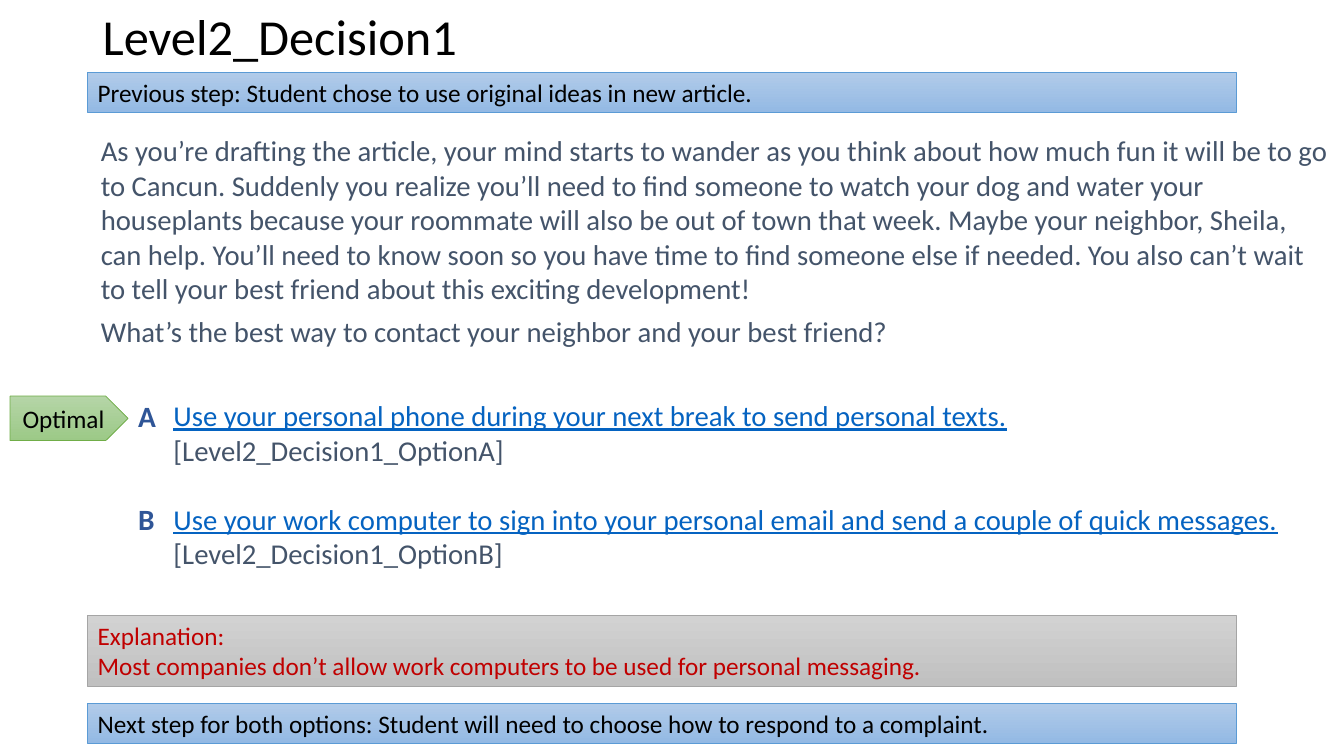
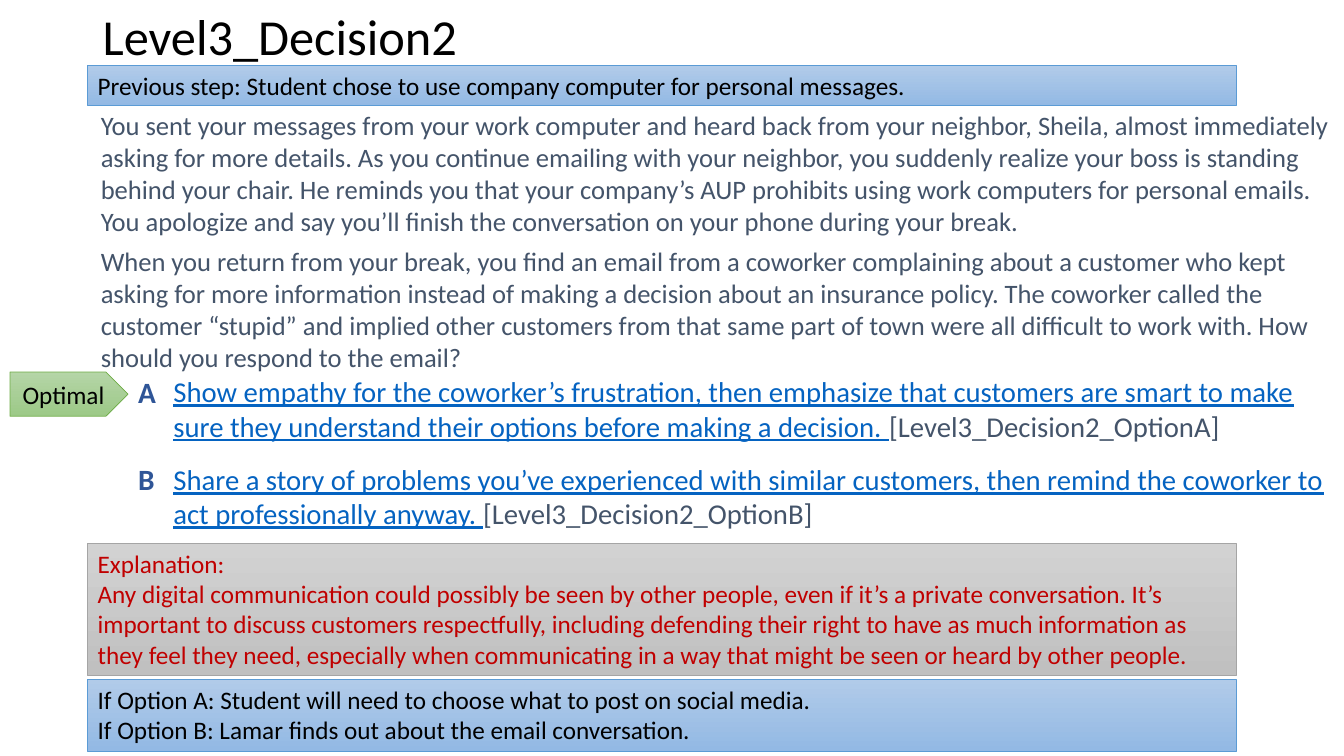
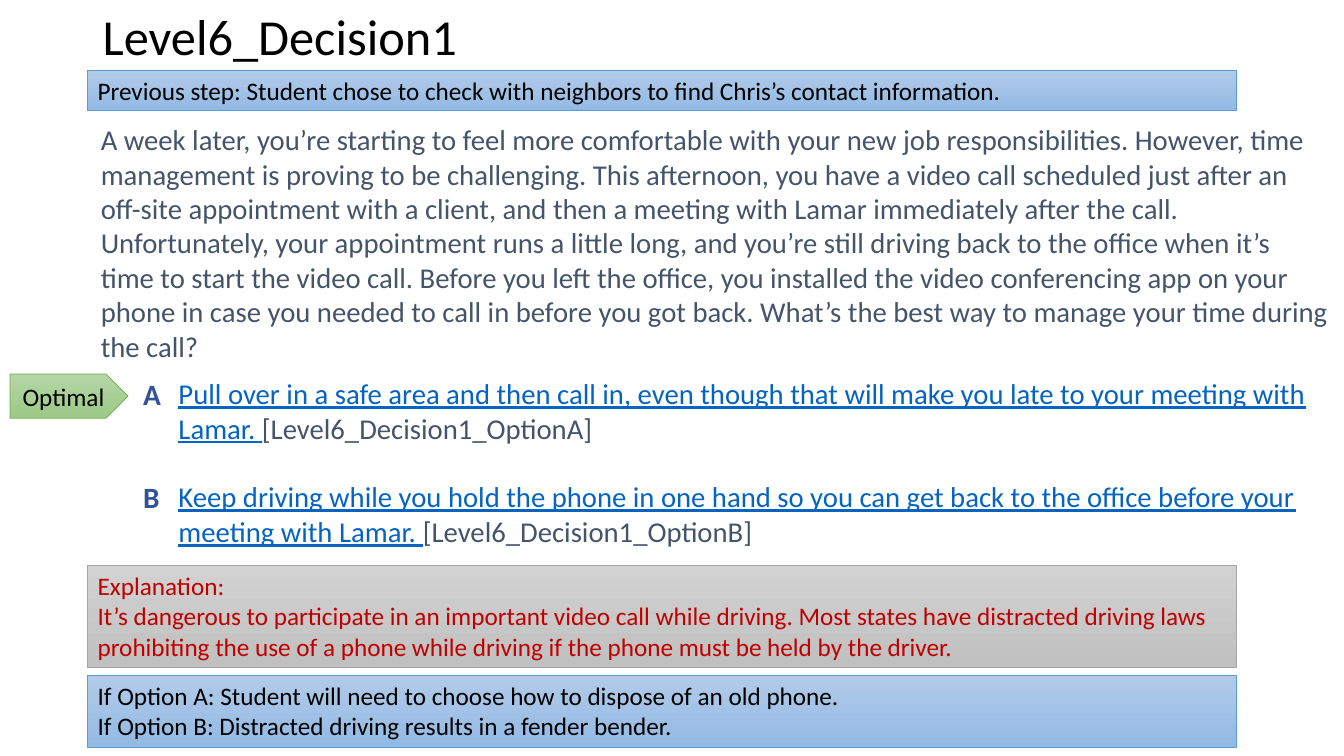
"""Builds three branching-scenario decision slides."""
from dataclasses import dataclass

from pptx import Presentation
from pptx.dml.color import RGBColor
from pptx.enum.shapes import MSO_SHAPE
from pptx.enum.text import MSO_ANCHOR, PP_ALIGN
from pptx.util import Inches, Pt

RECTANGLE, PENTAGON = MSO_SHAPE.RECTANGLE, MSO_SHAPE.PENTAGON
TOP, MIDDLE = MSO_ANCHOR.TOP, MSO_ANCHOR.MIDDLE
LEFT, CENTER = PP_ALIGN.LEFT, PP_ALIGN.CENTER

PAGE_WIDTH, PAGE_HEIGHT = 13.33, 7.5
MARGIN, BAND_WIDTH = 0.87, 11.39
BAND_HEIGHTS = {1: 0.4, 2: 0.71}
OPTION_HEIGHT = 0.68
WIDE_INSETS, SHAPE_INSETS = (0.13, 0.07), (0.1, 0.05)


@dataclass(frozen=True)
class Theme:
    """Colours, gradients and type sizes shared by all slides."""
    font: str = "Calibri"
    black: str = "000000"
    body: str = "44546A"
    link: str = "0563C1"
    letter: str = "2F5597"
    warning: str = "C00000"
    blue: tuple = ("B1CBE9", "93B9E4", "5B9BD5")
    gray: tuple = ("D2D2D2", "C0C0C0", "A5A5A5")
    green: tuple = ("B5D5A7", "9CC987", "70AD47")
    title_size: float = 36
    letter_size: float = 21
    option_size: float = 20.5
    band_size: float = 18


THEME = Theme()


@dataclass(frozen=True)
class Decision:
    """Wording and vertical layout of one decision slide."""
    title: str
    previous: str
    previous_top: float
    story: tuple
    story_box: tuple
    story_size: float
    options: tuple
    options_box: tuple
    option_gap: float
    explanation: str
    explanation_box: tuple
    following: tuple
    following_top: float


DECISIONS = (
    Decision(
        title="Level2_Decision1",
        previous="Student chose to use original ideas in new article.",
        previous_top=0.72,
        story=(
            "As you’re drafting the article, your mind starts to wander as you think about how much "
            "fun it will be to go to Cancun. Suddenly you realize you’ll need to find someone to watch "
            "your dog and water your houseplants because your roommate will also be out of town that "
            "week. Maybe your neighbor, Sheila, can help. You’ll need to know soon so you have time to "
            "find someone else if needed. You also can’t wait to tell your best friend about this "
            "exciting development!",
            "What’s the best way to contact your neighbor and your best friend?",
        ),
        story_box=(1.25, 2.59),
        story_size=20.5,
        options=(
            "Use your personal phone during your next break to send personal texts. ",
            "Use your work computer to sign into your personal email and send a couple of quick messages. ",
        ),
        options_box=(1.59, 3.88, 2.05),
        option_gap=24.5,
        explanation="Most companies don’t allow work computers to be used for personal messaging.",
        explanation_box=(6.1, 0.71),
        following=("Next step for both options: Student will need to choose how to respond to a complaint.",),
        following_top=6.98,
    ),
    Decision(
        title="Level3_Decision2",
        previous="Student chose to use company computer for personal messages.",
        previous_top=0.65,
        story=(
            "You sent your messages from your work computer and heard back from your neighbor, Sheila, "
            "almost immediately asking for more details. As you continue emailing with your neighbor, "
            "you suddenly realize your boss is standing behind your chair. He reminds you that your "
            "company’s AUP prohibits using work computers for personal emails. You apologize and say "
            "you’ll finish the conversation on your phone during your break.",
            "When you return from your break, you find an email from a coworker complaining about a "
            "customer who kept asking for more information instead of making a decision about an "
            "insurance policy. The coworker called the customer “stupid” and implied other customers "
            "from that same part of town were all difficult to work with. How should you respond to "
            "the email?",
        ),
        story_box=(1.01, 2.73),
        story_size=19,
        options=(
            "Show empathy for the coworker’s frustration, then emphasize that customers are smart to "
            "make sure they understand their options before making a decision. ",
            "Share a story of problems you’ve experienced with similar customers, then remind the "
            "coworker to act professionally anyway. ",
        ),
        options_box=(1.59, 3.64, 1.79),
        option_gap=13.5,
        explanation=(
            "Any digital communication could possibly be seen by other people, even if it’s a private "
            "conversation. It’s important to discuss customers respectfully, including defending their "
            "right to have as much information as they feel they need, especially when communicating "
            "in a way that might be seen or heard by other people."
        ),
        explanation_box=(5.39, 1.31),
        following=(
            "If Option A: Student will need to choose what to post on social media.",
            "If Option B: Lamar finds out about the email conversation.",
        ),
        following_top=6.74,
    ),
    Decision(
        title="Level6_Decision1",
        previous="Student chose to check with neighbors to find Chris’s contact information.",
        previous_top=0.7,
        story=(
            "A week later, you’re starting to feel more comfortable with your new job "
            "responsibilities. However, time management is proving to be challenging. This afternoon, "
            "you have a video call scheduled just after an off-site appointment with a client, and "
            "then a meeting with Lamar immediately after the call. Unfortunately, your appointment "
            "runs a little long, and you’re still driving back to the office when it’s time to start "
            "the video call. Before you left the office, you installed the video conferencing app on "
            "your phone in case you needed to call in before you got back. What’s the best way to "
            "manage your time during the call?",
        ),
        story_box=(1.14, 2.57),
        story_size=20.5,
        options=(
            "Pull over in a safe area and then call in, even though that will make you late to your "
            "meeting with Lamar. ",
            "Keep driving while you hold the phone in one hand so you can get back to the office "
            "before your meeting with Lamar. ",
        ),
        options_box=(1.64, 3.66, 2.05),
        option_gap=24.5,
        explanation=(
            "It’s dangerous to participate in an important video call while driving. Most states have "
            "distracted driving laws prohibiting the use of a phone while driving if the phone must be "
            "held by the driver."
        ),
        explanation_box=(5.61, 1.01),
        following=(
            "If Option A: Student will need to choose how to dispose of an old phone.",
            "If Option B: Distracted driving results in a fender bender.",
        ),
        following_top=6.7,
    ),
)


def prepare_frame(shape, insets, anchor=TOP):
    """Set wrapping, insets and anchor of a shape's text and return its frame."""
    frame = shape.text_frame
    frame.word_wrap = True
    frame.vertical_anchor = anchor
    frame.margin_left = frame.margin_right = Inches(insets[0])
    frame.margin_top = frame.margin_bottom = Inches(insets[1])
    return frame


def add_text_box(page, box, insets=WIDE_INSETS, anchor=TOP):
    """Add a text box and return its frame."""
    return prepare_frame(page.shapes.add_textbox(*map(Inches, box)), insets, anchor)


def add_span(para, text, size, color, bold=False, underline=False):
    """Add one formatted run to a paragraph."""
    span = para.add_run()
    span.text = text
    font = span.font
    font.name, font.size, font.bold = THEME.font, Pt(size), bold
    font.underline = underline
    font.color.rgb = RGBColor.from_string(color)


def add_paras(frame, texts, size, color, after=0, align=LEFT):
    """Fill a frame with one paragraph for each text."""
    for index, text in enumerate(texts):
        para = frame.add_paragraph() if index else frame.paragraphs[0]
        para.alignment = align
        para.space_after = Pt(after)
        add_span(para, text, size, color)


def add_panel(page, preset, box, colors, anchor=TOP):
    """Add a shape with a vertical gradient and thin outline and return its frame."""
    shape = page.shapes.add_shape(preset, *map(Inches, box))
    shape.shadow.inherit = False
    start, end, outline = colors
    shape.fill.gradient()
    shape.fill.gradient_angle = 270
    for stop, color in zip(shape.fill.gradient_stops, (start, end)):
        stop.color.rgb = RGBColor.from_string(color)
    shape.line.color.rgb = RGBColor.from_string(outline)
    shape.line.width = Pt(0.5)
    return prepare_frame(shape, SHAPE_INSETS, anchor)


def add_band(page, top, height, colors, texts, color=THEME.black):
    """Add a full-width note band."""
    frame = add_panel(page, RECTANGLE, (MARGIN, top, BAND_WIDTH, height), colors)
    add_paras(frame, texts, THEME.band_size, color)


def add_title(page, text):
    """Add the slide title."""
    frame = add_text_box(page, (0.92, 0.04, 11.5, 0.7), SHAPE_INSETS, MIDDLE)
    add_paras(frame, (text,), THEME.title_size, THEME.black)
    frame.paragraphs[0].line_spacing = 0.9


def add_story(page, decision):
    """Add the scenario text."""
    top, height = decision.story_box
    frame = add_text_box(page, (MARGIN, top, PAGE_WIDTH - MARGIN, height))
    add_paras(frame, decision.story, decision.story_size, THEME.body, after=6)


def add_options(page, decision):
    """Add the lettered options and the tag marking the optimal one."""
    left, top, height = decision.options_box
    frame = add_text_box(page, (left, top, PAGE_WIDTH - left, height))
    pitch = OPTION_HEIGHT + decision.option_gap / 72
    for index, (letter, text) in enumerate(zip("AB", decision.options)):
        para = frame.add_paragraph() if index else frame.paragraphs[0]
        para.space_before = Pt(decision.option_gap * index)
        add_span(para, text, THEME.option_size, THEME.link, underline=True)
        add_span(para, f"[{decision.title}_Option{letter}]", THEME.option_size, THEME.body)
        label = add_text_box(page, (left - 0.35, top + index * pitch, 0.7, 0.5))
        add_span(label.paragraphs[0], letter, THEME.letter_size, THEME.letter, bold=True)
    tag = add_panel(page, PENTAGON, (0.1, top + 0.05, 1.17, 0.44), THEME.green, MIDDLE)
    add_paras(tag, ("Optimal",), THEME.band_size, THEME.black, align=CENTER)


def add_decision(deck, decision):
    """Add one decision slide."""
    page = deck.slides.add_slide(deck.slide_layouts[6])
    add_story(page, decision)
    add_options(page, decision)
    add_title(page, decision.title)
    add_band(page, *decision.explanation_box, THEME.gray,
             ("Explanation:", decision.explanation), THEME.warning)
    add_band(page, decision.following_top, BAND_HEIGHTS[len(decision.following)],
             THEME.blue, decision.following)
    add_band(page, decision.previous_top, BAND_HEIGHTS[1], THEME.blue,
             (f"Previous step: {decision.previous}",))


def main():
    """Build and save the deck."""
    deck = Presentation()
    deck.slide_width, deck.slide_height = Inches(PAGE_WIDTH), Inches(PAGE_HEIGHT)
    for decision in DECISIONS:
        add_decision(deck, decision)
    deck.save("out.pptx")


if __name__ == "__main__":
    main()
